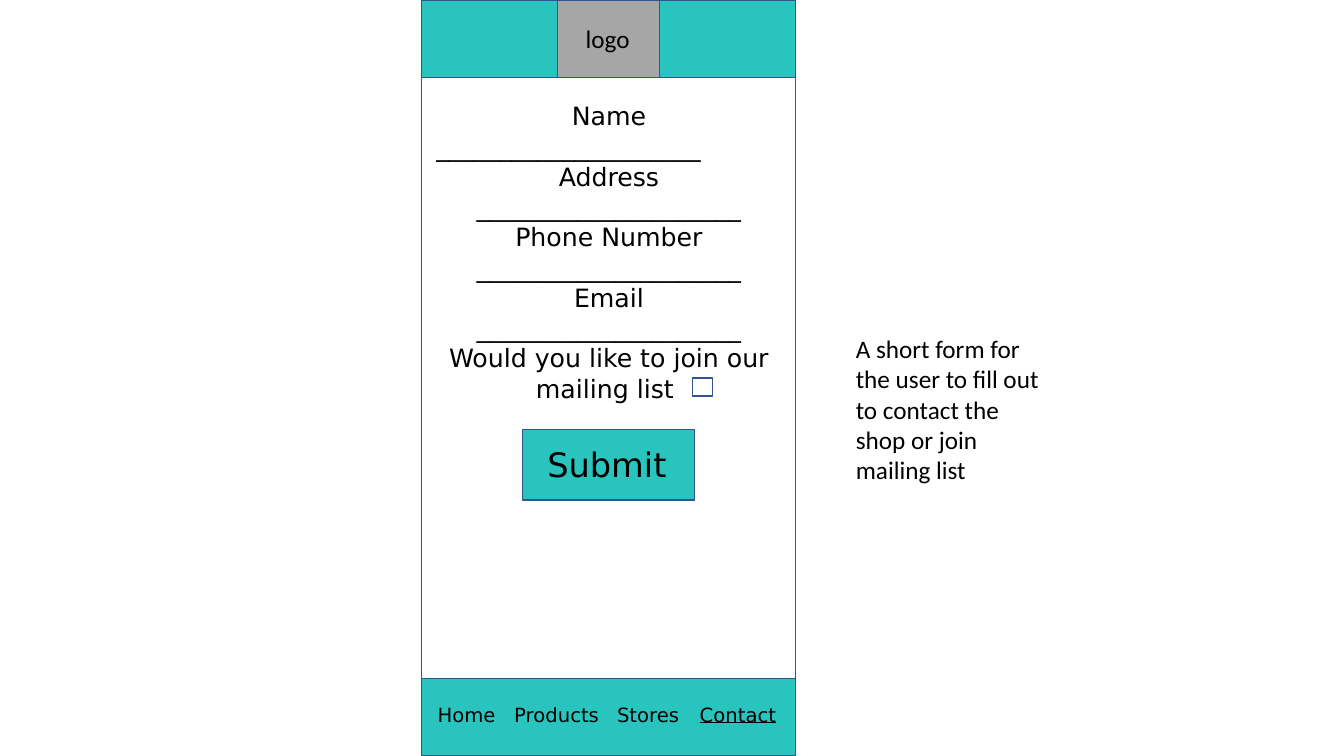
from dataclasses import dataclass

from lxml import etree
from pptx import Presentation
from pptx.dml.color import RGBColor
from pptx.enum.shapes import MSO_SHAPE
from pptx.enum.text import PP_ALIGN
from pptx.oxml.ns import qn
from pptx.util import Inches, Pt

RECTANGLE = MSO_SHAPE.RECTANGLE
LEFT, CENTER = PP_ALIGN.LEFT, PP_ALIGN.CENTER


@dataclass(frozen=True)
class Theme:
    """Colours, fonts and sizes of the wireframe."""
    teal: str = "29C4BE"
    gray: str = "A6A6A6"
    white: str = "FFFFFF"
    outline: str = "325491"
    ink: str = "000000"
    form_font: str = "DejaVu Sans"
    note_font: str = "Calibri"
    nav_size: int = 14
    body_size: int = 18
    button_size: int = 24
    line_width: int = 1


THEME = Theme()
SCREEN_LEFT, SCREEN_WIDTH, SCREEN_HEIGHT = 4.18, 3.71, 7.5
BAR_HEIGHT = 0.77
BLANK_LINE = "_" * 21
FIELDS = (("Name", LEFT), ("Address", CENTER), ("Phone Number", CENTER), ("Email", CENTER))
NAV_ITEMS = ("Home", "Products", "Stores", "Contact")
NAV_STOPS = (0.76, 1.78, 2.6)


def add_box(slide, left, top, width, height, fill):
    """Add an outlined rectangle."""
    box = slide.shapes.add_shape(RECTANGLE, Inches(left), Inches(top), Inches(width), Inches(height))
    box.shadow.inherit = False
    box.fill.solid()
    box.fill.fore_color.rgb = RGBColor.from_string(fill)
    box.line.color.rgb = RGBColor.from_string(THEME.outline)
    box.line.width = Pt(THEME.line_width)


def add_run(paragraph, text, font=THEME.form_font, size=THEME.body_size, underline=None):
    """Add formatted text to a paragraph."""
    run = paragraph.add_run()
    run.text = text
    run.font.name = font
    run.font.size = Pt(size)
    run.font.underline = underline
    run.font.color.rgb = RGBColor.from_string(THEME.ink)


def add_text(slide, left, top, width, height, lines, **text_format):
    """Add a text box of (text, alignment) lines and return its frame."""
    text_box = slide.shapes.add_textbox(Inches(left), Inches(top), Inches(width), Inches(height))
    frame = text_box.text_frame
    frame.word_wrap = True
    for index, (text, alignment) in enumerate(lines):
        paragraph = frame.add_paragraph() if index else frame.paragraphs[0]
        paragraph.alignment = alignment
        add_run(paragraph, text, **text_format)
    return frame


def add_navigation(slide):
    """Add the bottom bar with tabbed links, the current one underlined."""
    top = SCREEN_HEIGHT - BAR_HEIGHT
    add_box(slide, SCREEN_LEFT, top, SCREEN_WIDTH, BAR_HEIGHT, THEME.teal)
    *others, current = NAV_ITEMS
    links = "\t".join(others) + "\t"
    frame = add_text(slide, SCREEN_LEFT, 6.92, SCREEN_WIDTH, 0.34, [(links, LEFT)], size=THEME.nav_size)
    frame.margin_left = Inches(0.16)
    paragraph = frame.paragraphs[0]
    add_run(paragraph, current, size=THEME.nav_size, underline=True)
    tab_list = etree.SubElement(paragraph._p.get_or_add_pPr(), qn("a:tabLst"))
    for stop in NAV_STOPS:
        etree.SubElement(tab_list, qn("a:tab"), pos=str(Inches(stop)), algn="l")


def add_header(slide):
    """Add the top bar with its logo placeholder."""
    add_box(slide, SCREEN_LEFT, 0, SCREEN_WIDTH, BAR_HEIGHT, THEME.teal)
    add_box(slide, 5.53, 0, 1.01, BAR_HEIGHT, THEME.gray)
    add_text(slide, 5.71, 0.18, 1, 0.4, [("logo", LEFT)], font=THEME.note_font)


def add_form(slide):
    """Add the contact fields, the checkbox and the submit button."""
    lines = []
    for label, blank_alignment in FIELDS:
        lines += [(label, CENTER), (BLANK_LINE, blank_alignment)]
    lines.append(("Would you like to join our mailing list ", CENTER))
    add_text(slide, 4.23, 0.95, 3.62, 3.13, lines)
    add_box(slide, 6.87, 3.75, 0.2, 0.18, THEME.white)
    add_box(slide, 5.18, 4.26, 1.71, 0.7, THEME.teal)
    add_text(slide, 5.33, 4.35, 1.77, 0.5, [("Submit", LEFT)], size=THEME.button_size)


def main():
    """Build and save the contact screen slide."""
    presentation = Presentation()
    presentation.slide_width = Inches(13.33)
    presentation.slide_height = Inches(7.5)
    slide = presentation.slides.add_slide(presentation.slide_layouts[6])
    add_box(slide, SCREEN_LEFT, 0, SCREEN_WIDTH, SCREEN_HEIGHT, THEME.white)
    add_navigation(slide)
    add_header(slide)
    add_form(slide)
    note = "A short form for the user to fill out to contact the shop or join mailing list"
    add_text(slide, 8.39, 3.26, 2.1, 1.62, [(note, LEFT)], font=THEME.note_font)
    presentation.save("out.pptx")


if __name__ == "__main__":
    main()
